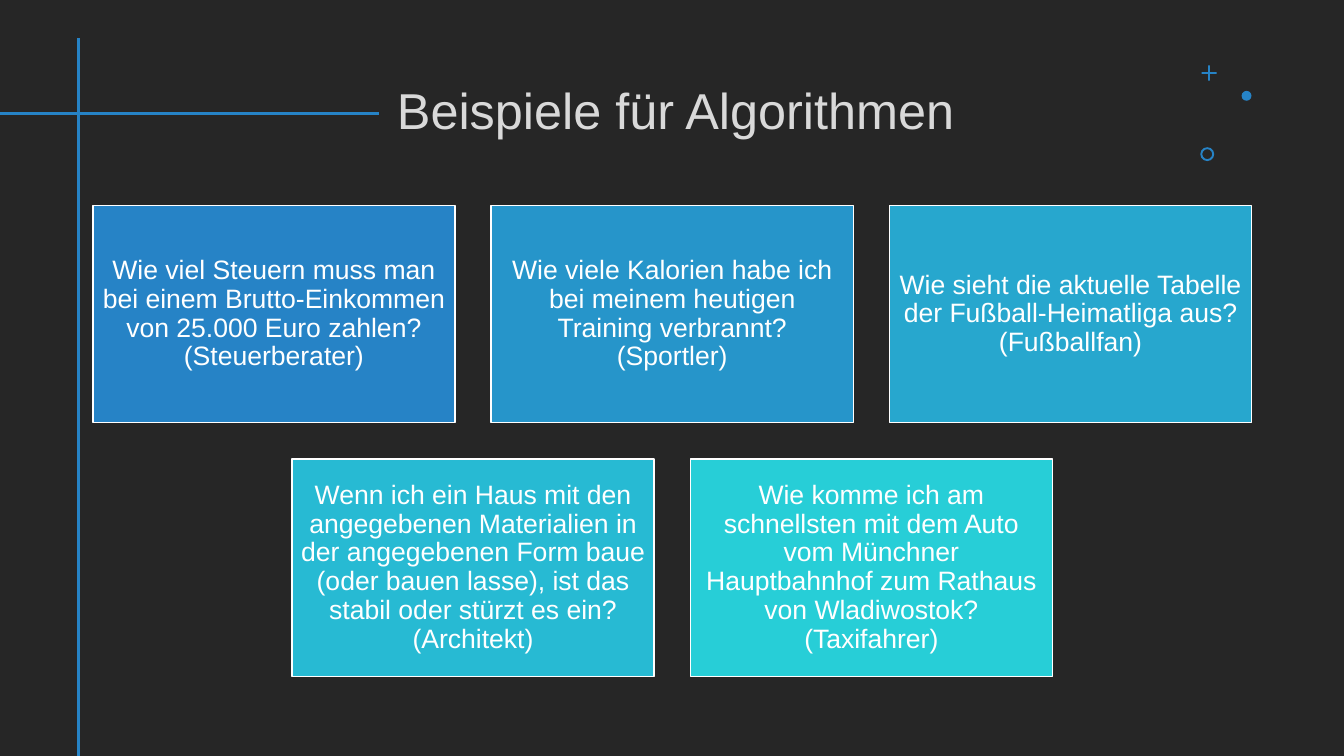
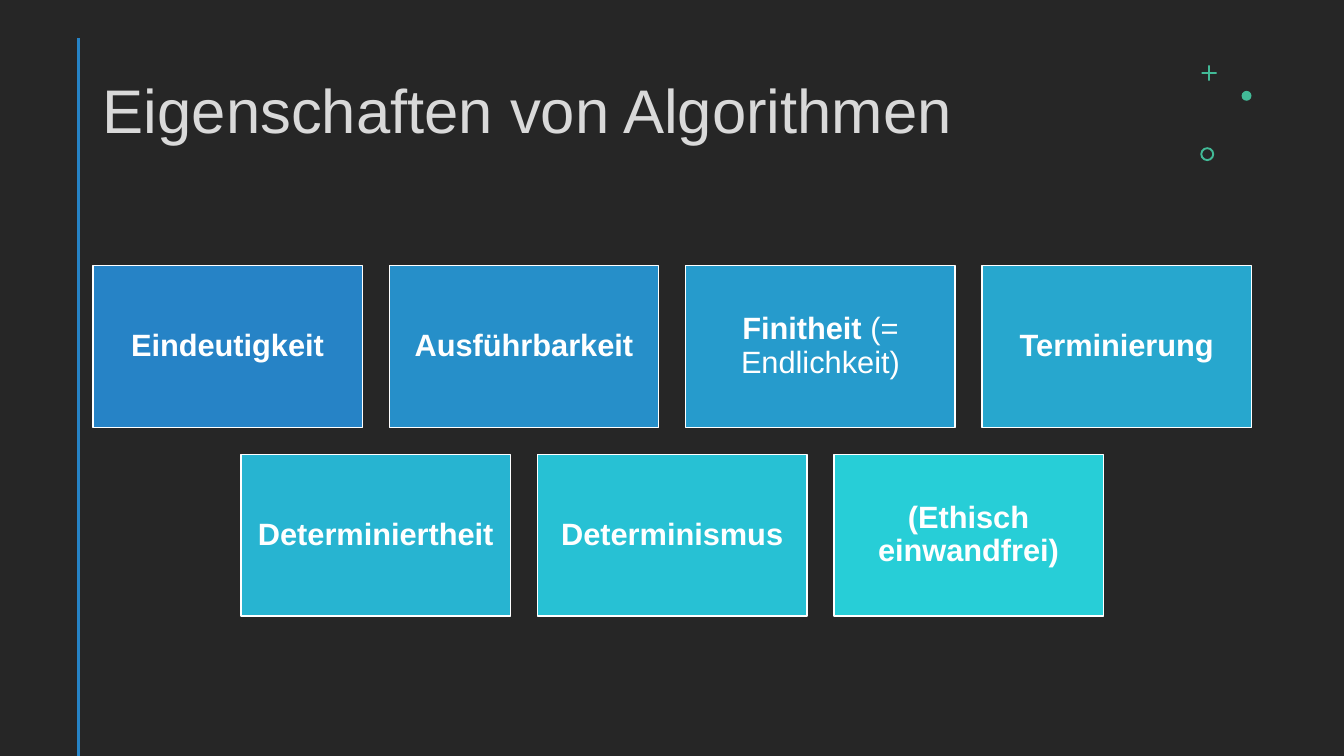
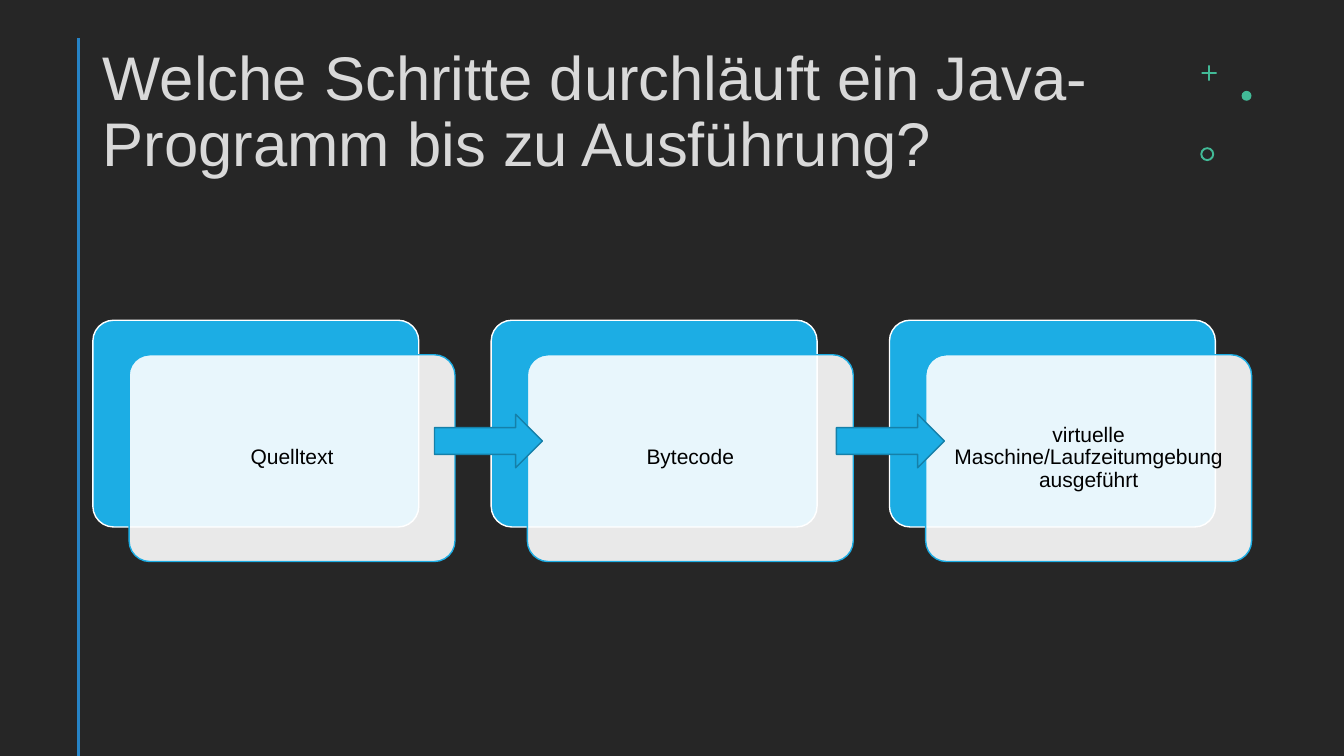
"""Build three dark slides on algorithms: examples, properties and Java steps."""
from pptx import Presentation, util as u
from pptx.dml.color import RGBColor
from pptx.enum import shapes, text
from pptx.oxml.ns import qn
from lxml import etree

Cm, Pt = u.Cm, u.Pt
SHAPE = shapes.MSO_SHAPE
FONT = "Arial"
DARK, PALE, WHITE, BLACK = "262626", "D9D9D9", "FFFFFF", "000000"
BLUE, GREEN, CYAN, CYAN_EDGE = "2683C6", "42BA97", "1CADE4", "1580A9"
LEFT, WIDTH, MIDDLE = 2.34, 29.2, 11.11
GAP_RATIO, HEIGHT_RATIO = 0.1, 0.6

EXAMPLES = [
    ("Wie viel Steuern muss man bei einem Brutto-Einkommen von 25.000 Euro zahlen? "
     "(Steuerberater)", "2683C6"),
    ("Wie viele Kalorien habe ich bei meinem heutigen Training verbrannt? (Sportler)", "2695CA"),
    ("Wie sieht die aktuelle Tabelle der Fußball-Heimatliga aus? (Fußballfan)", "27A7CE"),
    ("Wenn ich ein Haus mit den angegebenen Materialien in der angegebenen Form baue "
     "(oder bauen lasse), ist das stabil oder stürzt es ein? (Architekt)", "27BAD3"),
    ("Wie komme ich am schnellsten mit dem Auto vom Münchner Hauptbahnhof zum Rathaus "
     "von Wladiwostok? (Taxifahrer)", "27CED7"),
]
PROPERTIES = [
    ("Eindeutigkeit", "", "2683C6"),
    ("Ausführbarkeit", "", "268FC9"),
    ("Finitheit ", "(= Endlichkeit)", "269BCC"),
    ("Terminierung", "", "27A7CE"),
    ("Determiniertheit", "", "27B4D1"),
    ("Determinismus", "", "27C1D4"),
    ("(Ethisch einwandfrei)", "", "27CED7"),
]
STEPS = ["Quelltext", "Bytecode", "virtuelle Maschine/Laufzeitumgebung ausgeführt"]
ARROW_LEFTS = [10.95, 21.08]
ORNAMENTS = [
    (SHAPE.CROSS, 30.28, 1.65, 0.38, 0.44),
    (SHAPE.OVAL, 31.29, 2.29, 0.25, None),
    (SHAPE.DONUT, 30.25, 3.71, 0.35, 0.14),
]


def rgb(color):
    return RGBColor.from_string(color)


def write(tf, runs, size, color, align):
    """Fill a text frame with one paragraph of (text, bold) runs."""
    tf.word_wrap = True
    tf.auto_size = text.MSO_AUTO_SIZE.NONE
    tf.vertical_anchor = text.MSO_ANCHOR.MIDDLE
    p = tf.paragraphs[0]
    p.alignment, p.line_spacing = align, 0.9
    for words, bold in runs:
        r = p.add_run()
        r.text = words
        r.font.name, r.font.size, r.font.bold = FONT, Pt(size), bold
        r.font.color.rgb = rgb(color)


def add_shape(s, kind, x, y, w, h, fill, line=None, adjust=None):
    sp = s.shapes.add_shape(kind, Cm(x), Cm(y), Cm(w), Cm(h))
    sp.shadow.inherit = False
    sp.fill.solid()
    sp.fill.fore_color.rgb = rgb(fill)
    if line:
        sp.line.color.rgb = rgb(line)
        sp.line.width = Pt(1)
    else:
        sp.line.fill.background()
    if adjust is not None:
        sp.adjustments[0] = adjust
    return sp


def label(sp, runs, size, color, inset):
    tf = sp.text_frame
    tf.margin_left = tf.margin_right = tf.margin_top = tf.margin_bottom = Cm(inset)
    write(tf, runs, size, color, text.PP_ALIGN.CENTER)


def add_line(s, x1, y1, x2, y2):
    line = s.shapes.add_connector(shapes.MSO_CONNECTOR.STRAIGHT, Cm(x1), Cm(y1), Cm(x2), Cm(y2))
    line.line.color.rgb = rgb(BLUE)
    line.line.width = Pt(2)
    etree.SubElement(line.element.spPr, qn("a:effectLst"))


def add_slide(prs, title, size=44, left=LEFT, width=27.33, accent=GREEN):
    """Add a slide with its title, vertical line and corner ornaments."""
    s = prs.slides.add_slide(prs.slide_layouts[5])
    sp = s.shapes.title
    sp.left, sp.top, sp.width, sp.height = Cm(left), Cm(1.02), Cm(width), Cm(3.68)
    write(sp.text_frame, [(title, False)], size, PALE, text.PP_ALIGN.LEFT)
    add_line(s, 1.98, 0.97, 1.98, 19.05)
    for kind, x, y, side, adjust in ORNAMENTS:
        add_shape(s, kind, x, y, side, side, accent, adjust=adjust)
    return s


def column_width(columns):
    return WIDTH / (columns + (columns - 1) * GAP_RATIO)


def add_box_grid(s, boxes, columns, size, inset):
    """Lay out (runs, fill) boxes in centred rows around the middle."""
    w = column_width(columns)
    h, gap = w * HEIGHT_RATIO, w * GAP_RATIO
    rows = [boxes[i:i + columns] for i in range(0, len(boxes), columns)]
    top = MIDDLE - (len(rows) * (h + gap) - gap) / 2
    for i, row in enumerate(rows):
        left = LEFT + (columns - len(row)) * (w + gap) / 2
        for j, (runs, fill) in enumerate(row):
            sp = add_shape(s, SHAPE.RECTANGLE, left + j * (w + gap), top + i * (h + gap),
                           w, h, fill, WHITE)
            label(sp, runs, size, WHITE, inset)


def add_steps(s):
    """Draw each step as a translucent card on a coloured one, joined by arrows."""
    column = column_width(len(STEPS))
    gap = column * GAP_RATIO
    w, h, drop = column - gap, 5.21, 0.87
    top = MIDDLE - (h + drop) / 2
    for i, step in enumerate(STEPS):
        x = LEFT + i * (column + gap)
        add_shape(s, SHAPE.ROUNDED_RECTANGLE, x, top, w, h, CYAN, WHITE, 0.1)
        card = add_shape(s, SHAPE.ROUNDED_RECTANGLE, x + gap, top + drop, w, h, WHITE, CYAN, 0.1)
        color = card.element.spPr.find(qn("a:solidFill"))[0]
        etree.SubElement(color, qn("a:alpha"), val="90000")
        label(card, [(step, False)], 15, BLACK, 0.15)
    for x in ARROW_LEFTS:
        add_shape(s, SHAPE.RIGHT_ARROW, x, 10.44, 2.72, 1.35, CYAN, CYAN_EDGE)


def main():
    prs = Presentation()
    prs.slide_width, prs.slide_height = Cm(33.87), Cm(19.05)
    background = prs.slide_master.background.fill
    background.solid()
    background.fore_color.rgb = rgb(DARK)

    s = add_slide(prs, "Beispiele für Algorithmen", 36, 9.75, 19.89, BLUE)
    add_line(s, 0, 2.85, 9.54, 2.85)
    add_box_grid(s, [([(words, False)], fill) for words, fill in EXAMPLES], 3, 19, 0.2)

    s = add_slide(prs, "Eigenschaften von Algorithmen")
    boxes = [([(bold, True)] + ([(plain, False)] if plain else []), fill)
             for bold, plain, fill in PROPERTIES]
    add_box_grid(s, boxes, 4, 22, 0.23)

    s = add_slide(prs, "Welche Schritte durchläuft ein Java-Programm bis zu Ausführung?")
    add_steps(s)
    prs.save("out.pptx")


if __name__ == "__main__":
    main()
